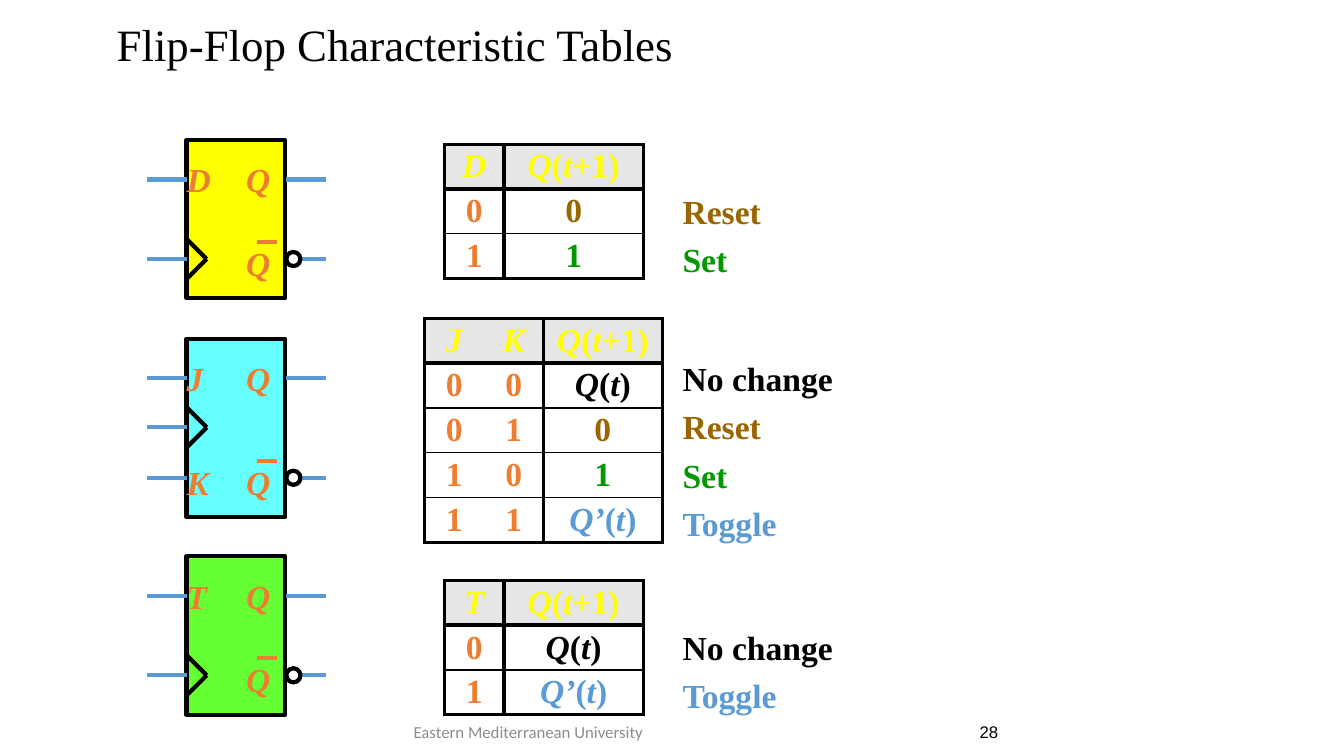
import itertools

import pptx
import pptx.dml.color
import pptx.enum.shapes
import pptx.enum.text
import pptx.oxml.ns
import pptx.util
from lxml import etree
from pptx.util import Inches

RGBColor = pptx.dml.color.RGBColor
Align = pptx.enum.text.PP_ALIGN
Anchor = pptx.enum.text.MSO_ANCHOR
Shape = pptx.enum.shapes.MSO_SHAPE
qn = pptx.oxml.ns.qn

BLACK = RGBColor(0x00, 0x00, 0x00)
WHITE = RGBColor(0xFF, 0xFF, 0xFF)
GRAY = RGBColor(0x8C, 0x8C, 0x8C)
HEADER_GRAY = RGBColor(0xE7, 0xE6, 0xE6)
YELLOW = RGBColor(0xFF, 0xFF, 0x00)
CYAN = RGBColor(0x66, 0xFF, 0xFF)
LIME = RGBColor(0x66, 0xFF, 0x33)
ORANGE = RGBColor(0xED, 0x7D, 0x31)
BROWN = RGBColor(0x99, 0x66, 0x00)
GREEN = RGBColor(0x00, 0x99, 0x00)
BLUE = RGBColor(0x5B, 0x9B, 0xD5)
SERIF = "Times New Roman"

BOX_LEFT, BOX_WIDTH = 1.85, 0.98
OUTPUT_X = 2.84
WIRE = 0.39
CLOCK_SIZE = 0.2
ROW_HEIGHT = 0.444


def style_font(font, color, size=24, name=SERIF, bold=True, italic=False):
    font.name, font.size = name, pptx.util.Pt(size)
    font.bold, font.italic = bold, italic
    font.color.rgb = color


def add_text(shapes, box, lines, align=Align.LEFT, anchor=Anchor.TOP,
             margin=0.0, spacing=1.0, **style):
    """Add a text box; lines is a list of (text, color)."""
    frame = shapes.add_textbox(*map(Inches, box)).text_frame
    frame.word_wrap = True
    frame.vertical_anchor = anchor
    frame.margin_left = frame.margin_right = Inches(margin)
    frame.margin_top = frame.margin_bottom = Inches(margin / 2)
    frame.text = "\n".join(text for text, _ in lines)
    for paragraph, (_, color) in zip(frame.paragraphs, lines):
        paragraph.alignment = align
        paragraph.line_spacing = spacing
        style_font(paragraph.runs[0].font, color, **style)


def add_line(shapes, x1, y1, x2, y2, color):
    line = shapes.add_connector(pptx.enum.shapes.MSO_CONNECTOR.STRAIGHT,
                                *map(Inches, (x1, y1, x2, y2)))
    line.line.color.rgb = color
    line.line.width = pptx.util.Pt(3)
    etree.SubElement(line._element.spPr, qn("a:effectLst"))


def add_outlined(shapes, kind, box, fill):
    shape = shapes.add_shape(kind, *map(Inches, box))
    shape.shadow.inherit = False
    shape.fill.solid()
    shape.fill.fore_color.rgb = fill
    shape.line.color.rgb = BLACK
    shape.line.width = pptx.util.Pt(3)


def add_flip_flop(slide, top, height, fill, inputs, clock_y):
    """Draw a flip-flop; inputs lists one or two input names."""
    shapes = slide.shapes.add_group_shape().shapes
    data_y, inverted_y = top + 0.39, top + height - 0.39
    clock_y += top
    add_outlined(shapes, Shape.RECTANGLE, (BOX_LEFT, top, BOX_WIDTH, height), fill)

    # Clock triangle
    tip = BOX_LEFT + CLOCK_SIZE
    for edge_y in (clock_y - CLOCK_SIZE, clock_y + CLOCK_SIZE):
        add_line(shapes, BOX_LEFT, edge_y, tip, clock_y, BLACK)

    # Wires on both sides
    input_ys = (data_y, inverted_y)[:len(inputs)]
    for y in (*input_ys, clock_y):
        add_line(shapes, BOX_LEFT, y, BOX_LEFT - WIRE, y, BLUE)
    for y in (data_y, inverted_y):
        add_line(shapes, OUTPUT_X + WIRE, y, OUTPUT_X, y, BLUE)

    # Inverting bubble and the bar over Q
    add_outlined(shapes, Shape.OVAL, (OUTPUT_X, inverted_y - 0.07, 0.14, 0.14), WHITE)
    add_line(shapes, 2.75, inverted_y - 0.17, 2.55, inverted_y - 0.17, ORANGE)

    # Terminal names
    labels = [(BOX_LEFT, y, name) for y, name in zip(input_ys, inputs)]
    labels += [(2.44, data_y, "Q"), (2.44, inverted_y, "Q")]
    for x, y, name in labels:
        rise = 0.2 if y == data_y else 0.16
        add_text(shapes, (x, y - rise, 0.39, 0.36), [(name, ORANGE)], italic=True)


def set_border(cell, side, width):
    """Draw one cell edge; a width of 0 hides it."""
    line = etree.SubElement(cell._tc.get_or_add_tcPr(), qn("a:ln" + side))
    if width:
        line.set("w", str(pptx.util.Pt(width)))
        fill = etree.SubElement(line, qn("a:solidFill"))
        etree.SubElement(fill, qn("a:srgbClr")).set("val", str(BLACK))
    else:
        etree.SubElement(line, qn("a:noFill"))


def fill_cell(cell, text, color, background):
    cell.fill.solid()
    cell.fill.fore_color.rgb = background
    cell.vertical_anchor = Anchor.MIDDLE
    cell.margin_left = cell.margin_right = cell.margin_top = cell.margin_bottom = 0
    paragraph = cell.text_frame.paragraphs[0]
    paragraph.alignment = Align.CENTER
    # Variables are italic, digits and brackets upright
    for italic, letters in itertools.groupby(text, lambda c: c.isalpha() or c == "’"):
        run = paragraph.add_run()
        run.text = "".join(letters)
        style_font(run.font, color, italic=italic)


def add_truth_table(slide, left, top, widths, inputs, rows):
    """rows lists (input digits, next state, state color)."""
    count, last = len(rows) + 1, len(widths) - 1
    table = slide.shapes.add_table(count, len(widths), Inches(left), Inches(top),
                                   Inches(sum(widths)), Inches(ROW_HEIGHT * count)).table
    table.first_row = table.horz_banding = False
    for column, width in zip(table.columns, widths):
        column.width = Inches(width)
    for row in table.rows:
        row.height = Inches(ROW_HEIGHT)

    vertical = [2.25] + [0] * (last - 1) + [3, 2.25]
    horizontal = [2.25, 3] + [1] * (count - 2) + [2.25]
    for r, (digits, state, color) in enumerate([(inputs, "Q(t+1)", YELLOW)] + rows):
        for c, text in enumerate([*digits, state]):
            cell = table.cell(r, c)
            for side, width in (("L", vertical[c]), ("R", vertical[c + 1]),
                                ("T", horizontal[r]), ("B", horizontal[r + 1])):
                set_border(cell, side, width)
            text_color = color if r == 0 or c == last else ORANGE
            fill_cell(cell, text, text_color, WHITE if r else HEADER_GRAY)


def add_meanings(slide, top, lines):
    add_text(slide.shapes, (6.77, top, 1.77, 0.48 * len(lines)), lines, spacing=1.2)


def main():
    presentation = pptx.Presentation()
    presentation.slide_width, presentation.slide_height = Inches(13.33), Inches(7.5)
    slide = presentation.slides.add_slide(presentation.slide_layouts[6])

    # Title and footer
    middle = {"anchor": Anchor.MIDDLE, "margin": 0.1, "bold": False}
    add_text(slide.shapes, (1.06, 0.21, 8.66, 0.52),
             [("Flip-Flop Characteristic Tables", BLACK)], size=32, spacing=0.9, **middle)
    add_text(slide.shapes, (3.43, 7.1, 3.62, 0.32),
             [("Eastern Mediterranean University", GRAY)],
             align=Align.CENTER, size=12, name="Calibri", **middle)
    add_text(slide.shapes, (8.69, 7.1, 1.31, 0.32), [("28", BLACK)],
             align=Align.RIGHT, size=12, name="Arial", **middle)

    no_change, reset = ("No change", BLACK), ("Reset", BROWN)
    set_high, toggle = ("Set", GREEN), ("Toggle", BLUE)

    # D flip-flop
    add_flip_flop(slide, 1.39, 1.57, YELLOW, "D", 1.18)
    add_truth_table(slide, 4.41, 1.43, [0.59, 1.38], "D",
                    [("0", "0", BROWN), ("1", "1", GREEN)])
    add_meanings(slide, 1.81, [reset, set_high])

    # JK flip-flop
    add_flip_flop(slide, 3.36, 1.77, CYAN, "JK", 0.88)
    add_truth_table(slide, 4.21, 3.16, [0.59, 0.59, 1.18], "JK",
                    [("00", "Q(t)", BLACK), ("01", "0", BROWN),
                     ("10", "1", GREEN), ("11", "Q’(t)", BLUE)])
    add_meanings(slide, 3.47, [no_change, reset, set_high, toggle])

    # T flip-flop
    add_flip_flop(slide, 5.52, 1.57, LIME, "T", 1.18)
    add_truth_table(slide, 4.41, 5.76, [0.59, 1.38], "T",
                    [("0", "Q(t)", BLACK), ("1", "Q’(t)", BLUE)])
    add_meanings(slide, 6.14, [no_change, toggle])

    presentation.save("out.pptx")


if __name__ == "__main__":
    main()
